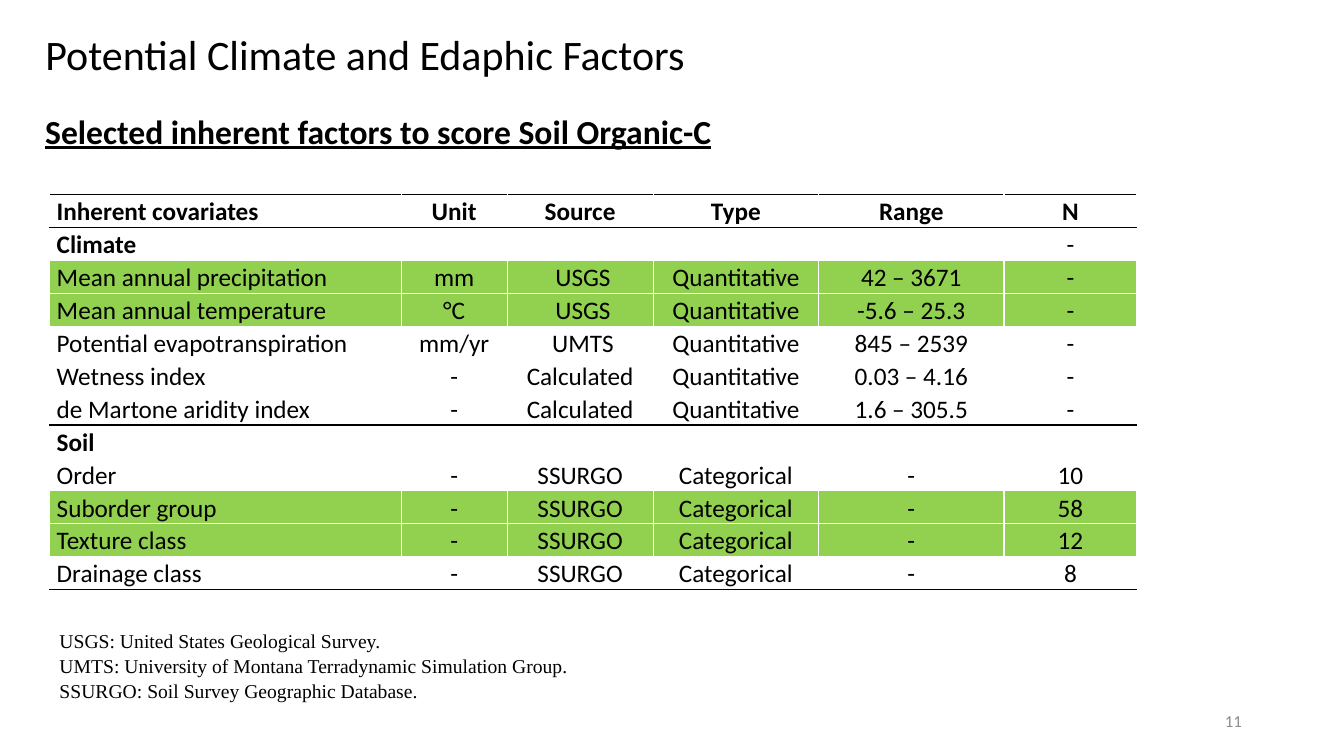
"""Build a slide with a table of climate and soil factors used to score soil organic carbon."""
from lxml.etree import SubElement
from pptx import Presentation
from pptx.dml.color import RGBColor
from pptx.enum.text import MSO_ANCHOR as Anchor, MSO_AUTO_SIZE as AutoSize, PP_ALIGN as Align
from pptx.oxml.ns import qn
from pptx.util import Cm, Pt

TITLE = "Potential Climate and Edaphic Factors"
SUBTITLE = "Selected inherent factors to score Soil Organic-C"
ROWS = [
    ("Inherent covariates", "Unit", "Source", "Type", "Range", "N"),
    ("Climate", "", "", "", "", "-"),
    ("Mean annual precipitation", "mm", " USGS", "Quantitative", "42 – 3671", "-"),
    ("Mean annual temperature", "°C", " USGS", "Quantitative", "-5.6 – 25.3", "-"),
    ("Potential evapotranspiration", "mm/yr", " UMTS", "Quantitative", "845 – 2539", "-"),
    ("Wetness index", "-", "Calculated", "Quantitative", "0.03 – 4.16", "-"),
    ("de Martone aridity index", "-", "Calculated", "Quantitative", "1.6 – 305.5", "-"),
    ("Soil", "", "", "", "", ""),
    ("Order", "-", "SSURGO", "Categorical", "-", "10"),
    ("Suborder group", "-", "SSURGO", "Categorical", "-", "58"),
    ("Texture class", "-", "SSURGO", "Categorical", "-", "12"),
    ("Drainage class", "-", "SSURGO", "Categorical", "-", "8"),
]
SELECTED_ROWS = {2, 3, 9, 10}
SECTION_ROWS = {1, 7}
RULES = {0, 1, 7, 12}
COLUMN_WIDTHS = [8.86, 2.67, 3.68, 4.17, 4.67, 3.35]
ROW_HEIGHT = 0.82
NOTES = [
    "USGS: United States Geological Survey.",
    "UMTS: University of Montana Terradynamic Simulation Group.",
    "SSURGO: Soil Survey Geographic Database.",
]
PAGE_NUMBER = "11"
COLORS = {"text": "000000", "grid": "FFFFFF", "selected": "92D050", "number": "8C8C8C"}


def style_text(frame, size, align=Align.LEFT, font="Calibri", color="text",
               bold=False, underline=False, spacing=1.0):
    for para in frame.paragraphs:
        para.alignment = align
        para.line_spacing = spacing
        para.font.size = Pt(size)
        for span in para.runs:
            span.font.name = font
            span.font.size = Pt(size)
            span.font.bold = bold
            span.font.underline = underline
            span.font.color.rgb = RGBColor.from_string(COLORS[color])


def fill_box(box, place, text, anchor=Anchor.TOP):
    box.left, box.top, box.width, box.height = (Cm(length) for length in place)
    frame = box.text_frame
    frame.word_wrap = True
    frame.auto_size = AutoSize.NONE
    frame.vertical_anchor = anchor
    frame.text = text
    return frame


def add_box(page, place, text, anchor=Anchor.TOP):
    return fill_box(page.shapes.add_textbox(0, 0, 0, 0), place, text, anchor)


def draw_borders(cell, row):
    properties = cell._tc.get_or_add_tcPr()
    top, bottom = ("text" if edge in RULES else "grid" for edge in (row, row + 1))
    for side, color in (("L", "grid"), ("R", "grid"), ("T", top), ("B", bottom)):
        line = SubElement(properties, qn(f"a:ln{side}"), w=str(Pt(1)))
        solid = SubElement(line, qn("a:solidFill"))
        SubElement(solid, qn("a:srgbClr"), val=COLORS[color])


def add_factor_table(page):
    table = page.shapes.add_table(
        len(ROWS), len(COLUMN_WIDTHS), Cm(1.25), Cm(4.9),
        Cm(sum(COLUMN_WIDTHS)), Cm(ROW_HEIGHT * len(ROWS))).table
    table.first_row = table.horz_banding = False
    for column, width in zip(table.columns, COLUMN_WIDTHS):
        column.width = Cm(width)
    for row, values in enumerate(ROWS):
        for col, value in enumerate(values):
            cell = table.cell(row, col)
            cell.margin_left = cell.margin_right = Cm(0.18)
            cell.margin_top = cell.margin_bottom = 0
            cell.text_frame.text = value
            heading = row == 0 or (row in SECTION_ROWS and col == 0)
            style_text(cell.text_frame, 18, Align.CENTER if col else Align.JUSTIFY,
                       bold=heading, spacing=1.07)
            draw_borders(cell, row)
            if row in SELECTED_ROWS:
                cell.fill.solid()
                cell.fill.fore_color.rgb = RGBColor.from_string(COLORS["selected"])
            else:
                cell.fill.background()


def main():
    deck = Presentation()
    deck.slide_width, deck.slide_height = Cm(33.87), Cm(19.05)
    page = deck.slides.add_slide(deck.slide_layouts[5])
    style_text(fill_box(page.shapes.title, (0.89, 0.58, 20.68, 1.55), TITLE), 30)
    style_text(add_box(page, (0.89, 2.67, 32.41, 1.27), SUBTITLE), 24,
               bold=True, underline=True)
    add_factor_table(page)
    style_text(add_box(page, (1.25, 15.67, 22.28, 2.13), "\n".join(NOTES)), 14,
               Align.JUSTIFY, font="Times New Roman", spacing=1.07)
    style_text(add_box(page, (23.93, 17.65, 7.62, 1.02), PAGE_NUMBER, Anchor.MIDDLE), 12,
               Align.RIGHT, color="number")
    deck.save("out.pptx")


if __name__ == "__main__":
    main()
